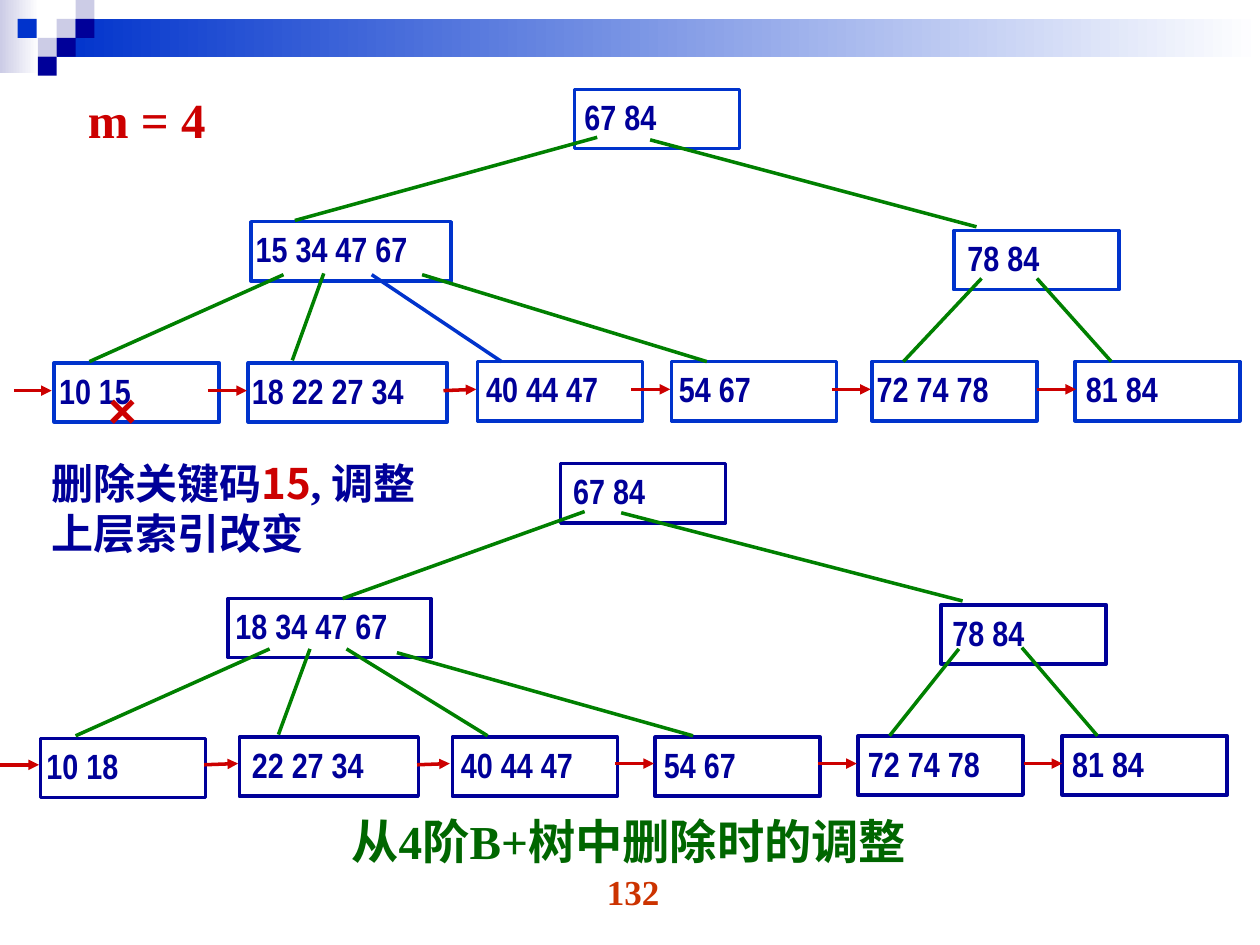
from lxml.etree import SubElement
from pptx import Presentation
from pptx.dml.color import RGBColor
from pptx.enum.shapes import MSO_CONNECTOR, MSO_SHAPE
from pptx.enum.text import MSO_ANCHOR, PP_ALIGN
from pptx.oxml.ns import qn
from pptx.util import Inches, Pt

NAVY = RGBColor(0x00, 0x00, 0x99)
BLUE = RGBColor(0x00, 0x33, 0xCC)
LAVENDER = RGBColor(0xCC, 0xCC, 0xE6)
WHITE = RGBColor(0xFF, 0xFF, 0xFF)
RED = RGBColor(0xCC, 0x00, 0x00)
ORANGE = RGBColor(0xCC, 0x33, 0x00)
GREEN = RGBColor(0x00, 0x80, 0x00)
DARK_GREEN = RGBColor(0x00, 0x66, 0x00)

SERIF = "Times New Roman"
CHINESE = "Noto Sans CJK SC"
NODE_FONT = "Arial Narrow"
NODE_HEIGHT = 0.47
LEAF_WIDTH = 1.31

# Nodes: left, top, width, left of the key label, keys
BEFORE_NODES = [
    (4.56, 0.71, LEAF_WIDTH, 4.54, "67 84"),
    (1.99, 1.76, 1.59, 1.93, "15 34 47 67"),
    (7.57, 1.83, LEAF_WIDTH, 7.58, "78 84"),
    (0.43, 2.88, LEAF_WIDTH, 0.37, "10 15"),
    (1.97, 2.88, 1.58, 1.90, "18 22 27 34"),
    (3.79, 2.87, LEAF_WIDTH, 3.76, "40 44 47"),
    (5.33, 2.87, LEAF_WIDTH, 5.29, "54 67"),
    (6.92, 2.87, LEAF_WIDTH, 6.86, "72 74 78"),
    (8.53, 2.87, LEAF_WIDTH, 8.52, "81 84"),
]
AFTER_NODES = [
    (4.45, 3.68, LEAF_WIDTH, 4.45, "67 84"),
    (1.81, 4.75, 1.61, 1.77, "18 34 47 67"),
    (7.47, 4.80, LEAF_WIDTH, 7.46, "78 84"),
    (0.32, 5.86, LEAF_WIDTH, 0.27, "10 18"),
    (1.90, 5.85, 1.42, 1.90, "22 27 34"),
    (3.59, 5.85, LEAF_WIDTH, 3.56, "40 44 47"),
    (5.20, 5.85, LEAF_WIDTH, 5.17, "54 67"),
    (6.81, 5.84, LEAF_WIDTH, 6.79, "72 74 78"),
    (8.43, 5.84, LEAF_WIDTH, 8.41, "81 84"),
]

# Lines: start x, start y, end x, end y
BEFORE_EDGES = [
    (4.74, 1.09, 2.34, 1.75), (5.16, 1.11, 7.75, 1.80),
    (2.25, 2.18, 0.71, 2.87), (2.57, 2.17, 2.32, 2.86),
    (3.35, 2.18, 5.61, 2.87),
    (7.79, 2.21, 7.17, 2.87), (8.23, 2.21, 8.82, 2.87),
]
BEFORE_BLUE_EDGE = (2.95, 2.18, 3.98, 2.87)
AFTER_EDGES = [
    (4.64, 4.06, 2.72, 4.75), (4.93, 4.07, 7.64, 4.77),
    (2.14, 5.15, 0.60, 5.84), (2.46, 5.15, 2.21, 5.83),
    (2.75, 5.15, 3.87, 5.84), (3.15, 5.18, 5.50, 5.84),
    (7.61, 5.15, 7.06, 5.84), (8.11, 5.14, 8.71, 5.84),
]
BEFORE_LINKS = [
    (0.11, 3.10, 0.41, 3.10), (1.65, 3.10, 1.96, 3.10),
    (3.52, 3.10, 3.78, 3.09), (5.01, 3.09, 5.32, 3.09),
    (6.60, 3.09, 6.91, 3.09), (8.23, 3.09, 8.54, 3.09),
]
AFTER_LINKS = [
    (0.00, 6.07, 0.31, 6.07), (1.62, 6.07, 1.89, 6.06),
    (3.31, 6.07, 3.57, 6.06), (4.88, 6.06, 5.19, 6.06),
    (6.49, 6.06, 6.80, 6.06), (8.13, 6.06, 8.43, 6.06),
]


def add_rectangle(slide, left, top, width, height):
    shape = slide.shapes.add_shape(
        MSO_SHAPE.RECTANGLE, Inches(left), Inches(top), Inches(width), Inches(height))
    shape.shadow.inherit = False
    return shape


def add_square(slide, left, top, color):
    square = add_rectangle(slide, left, top, 0.15, 0.15)
    square.fill.solid()
    square.fill.fore_color.rgb = color
    square.line.fill.background()


def add_gradient_band(slide, left, top, width, height, color):
    """Add a band that fades from color to white, left to right."""
    band = add_rectangle(slide, left, top, width, height)
    band.fill.gradient()
    band.fill.gradient_angle = 0
    for stop, stop_color in zip(band.fill.gradient_stops, (color, WHITE)):
        stop.color.rgb = stop_color
    band.line.fill.background()


def add_decoration(slide):
    add_gradient_band(slide, 0, 0, 0.31, 0.58, LAVENDER)
    add_gradient_band(slide, 0.45, 0.15, 9.55, 0.3, BLUE)
    for left, top, color in [
        (0.45, 0.15, LAVENDER), (0.6, 0, LAVENDER), (0.6, 0.15, NAVY),
        (0.3, 0.3, LAVENDER), (0.14, 0.15, BLUE), (0.45, 0.3, NAVY),
        (0.3, 0.45, NAVY),
    ]:
        add_square(slide, left, top, color)


def format_font(font, name, size, color):
    font.name = name
    font.size = Pt(size)
    font.bold = True
    font.color.rgb = color


def add_text(slide, left, top, width, height, text, name, size, color,
             alignment=PP_ALIGN.LEFT):
    box = slide.shapes.add_textbox(
        Inches(left), Inches(top), Inches(width), Inches(height))
    box.text_frame.word_wrap = True
    box.text_frame.text = text
    for paragraph in box.text_frame.paragraphs:
        paragraph.alignment = alignment
        format_font(paragraph.font, name, size, color)
    return box


def add_node(slide, left, top, width, label_left, keys, color):
    node = add_rectangle(slide, left, top, width, NODE_HEIGHT)
    node.fill.background()
    node.line.color.rgb = color
    node.line.width = Pt(2)
    label_width = min(width + 0.3, 10 - label_left)
    add_text(slide, label_left, top, label_width, 0.58, keys, NODE_FONT, 20, NAVY)


def add_line(slide, start_x, start_y, end_x, end_y, color, arrow=False):
    line = slide.shapes.add_connector(
        MSO_CONNECTOR.STRAIGHT,
        Inches(start_x), Inches(start_y), Inches(end_x), Inches(end_y))
    line.line.color.rgb = color
    line.line.width = Pt(2)
    if arrow:
        SubElement(line.line._get_or_add_ln(), qn("a:tailEnd"), type="triangle")
    SubElement(line._element.spPr, qn("a:effectLst"))


def add_tree(slide, nodes, edges, links, color):
    """Add the boxes, the branches and the chain of arrows between leaves."""
    for node in nodes:
        add_node(slide, *node, color)
    for edge in edges:
        add_line(slide, *edge, GREEN)
    for link in links:
        add_line(slide, *link, RED, arrow=True)


def add_explanation(slide):
    box = add_text(slide, 0.31, 3.58, 3.3, 0.96, "删除关键码\n上层索引改变", SERIF, 24, NAVY)
    first = box.text_frame.paragraphs[0]
    key = first.add_run()
    key.text = "15"
    key.font.name = CHINESE
    key.font.color.rgb = RED
    first.add_run().text = ", 调整"


def fill_caption(placeholder):
    placeholder.left, placeholder.top = Inches(0.35), Inches(6.35)
    placeholder.width, placeholder.height = Inches(9), Inches(0.79)
    frame = placeholder.text_frame
    frame.vertical_anchor = MSO_ANCHOR.TOP
    frame.text = "从4阶B+树中删除时的调整"
    paragraph = frame.paragraphs[0]
    properties = paragraph._p.get_or_add_pPr()
    properties.set("marL", str(Inches(0.28)))
    properties.set("indent", "0")
    SubElement(properties, qn("a:buNone"))
    paragraph.alignment = PP_ALIGN.CENTER
    paragraph.line_spacing = 1.1
    paragraph.space_before = Pt(0)
    format_font(paragraph.font, SERIF, 27, DARK_GREEN)


def main():
    presentation = Presentation()
    presentation.slide_width = Inches(10)
    presentation.slide_height = Inches(7.5)
    slide = presentation.slides.add_slide(presentation.slide_layouts[1])
    title = slide.shapes.title
    title._element.getparent().remove(title._element)

    add_decoration(slide)
    add_text(slide, 3.86, 6.86, 2.33, 0.52, "132", SERIF, 20, ORANGE, PP_ALIGN.CENTER)
    fill_caption(slide.placeholders[1])
    add_text(slide, 0.6, 0.66, 1.56, 0.96, "m = 4", SERIF, 28, RED)
    add_tree(slide, BEFORE_NODES, BEFORE_EDGES, BEFORE_LINKS, BLUE)
    add_line(slide, *BEFORE_BLUE_EDGE, BLUE)
    add_text(slide, 0.76, 2.96, 0.65, 0.71, "×", "Arial", 28, RED)
    add_explanation(slide)
    add_tree(slide, AFTER_NODES, AFTER_EDGES, AFTER_LINKS, NAVY)
    presentation.save("out.pptx")


if __name__ == "__main__":
    main()
